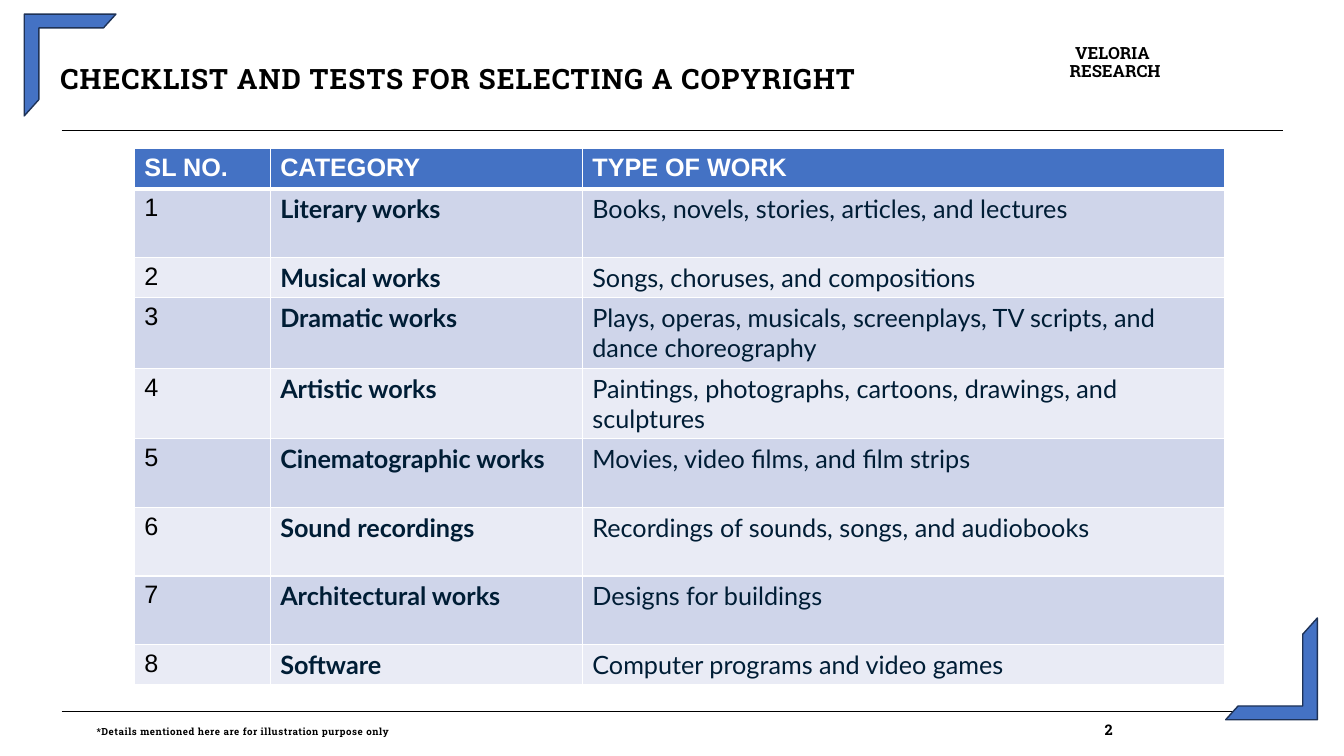
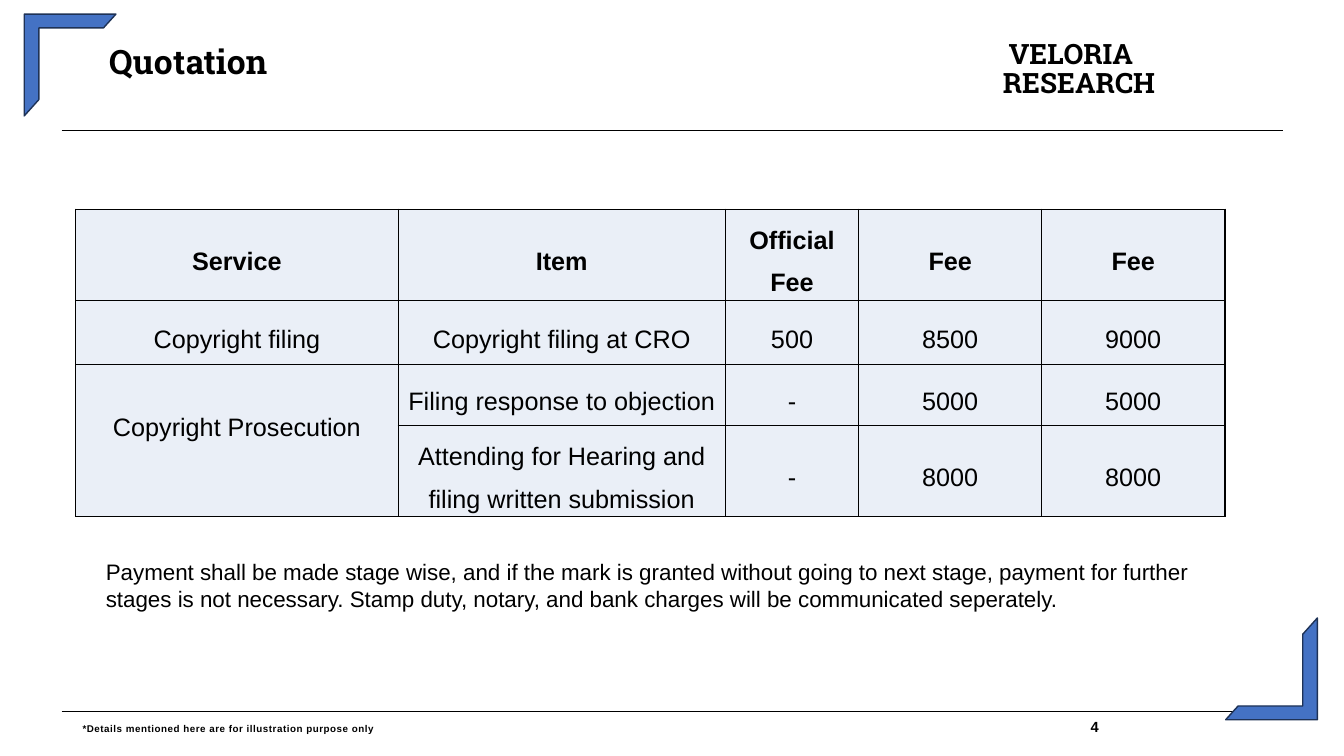
import dataclasses

import pptx
import pptx.dml.color
import pptx.enum.shapes
import pptx.enum.text
import pptx.oxml
import pptx.oxml.ns
import pptx.util
from lxml import etree

Pt = pptx.util.Pt
Align = pptx.enum.text.PP_ALIGN
Anchor = pptx.enum.text.MSO_ANCHOR
Shape = pptx.enum.shapes.MSO_SHAPE
qn = pptx.oxml.ns.qn


@dataclasses.dataclass(frozen=True)
class Theme:
    # Colours
    black: str = "000000"
    white: str = "FFFFFF"
    blue: str = "4472C4"
    edge: str = "1E3256"
    navy: str = "001D35"
    dark: str = "CFD5EA"
    light: str = "E9EBF5"
    pale: str = "EAEFF7"
    # Fonts
    slab: str = "Roboto Slab"
    sans: str = "Arial"
    lato: str = "Lato"
    # Type sizes
    big: float = 24
    head: float = 20
    cell: float = 18
    body: float = 16
    mark: float = 12
    page: float = 10.5
    note: float = 7


def tint(code):
    return pptx.dml.color.RGBColor.from_string(code)


class Deck:
    def __init__(self, theme):
        self.theme = theme
        self.file = pptx.Presentation()
        self.file.slide_width, self.file.slide_height = Pt(960), Pt(540)

    def start(self):
        """Add a slide with its rules and corner frames."""
        self.slide = self.file.slides.add_slide(self.file.slide_layouts[5])
        for y in (93, 508):
            self.rule(44, y, 916.5)
        self.corner(17.3, 10.1, 0)
        self.corner(875.5, 441.4, 180)

    def rule(self, left, y, right):
        kind = pptx.enum.shapes.MSO_CONNECTOR.STRAIGHT
        line = self.slide.shapes.add_connector(kind, Pt(left), Pt(y), Pt(right), Pt(y))
        line.line.color.rgb = tint(self.theme.black)
        line.line.width = Pt(0.5)
        etree.SubElement(line._element.spPr, qn("a:effectLst"))

    def corner(self, left, top, turn):
        part = self.slide.shapes.add_shape(
            Shape.HALF_FRAME, Pt(left), Pt(top), Pt(65.5), Pt(72.7))
        part.adjustments[0], part.adjustments[1] = 0.15, 0.16
        part.rotation = turn
        part.shadow.inherit = False
        part.fill.solid()
        part.fill.fore_color.rgb = tint(self.theme.blue)
        part.line.color.rgb = tint(self.theme.edge)
        part.line.width = Pt(1)

    def style(self, run, size, face, bold=False, color=None, track=0):
        run.font.size, run.font.name, run.font.bold = Pt(size), face, bold
        run.font.color.rgb = tint(color or self.theme.black)
        if track:
            run._r.get_or_add_rPr().set("spc", str(round(track * 100)))

    def label(self, frame, text, size, face, align=Align.LEFT, space=1, **look):
        frame.text = text
        frame.word_wrap = True
        para = frame.paragraphs[0]
        para.alignment, para.line_spacing = align, space
        self.style(para.runs[0], size, face, **look)
        return para

    def pad(self, item, side, edge):
        item.margin_left = item.margin_right = Pt(side)
        item.margin_top = item.margin_bottom = Pt(edge)

    def box(self, left, top, width, height, text, size, face, pads=(0, 0), **look):
        part = self.slide.shapes.add_textbox(Pt(left), Pt(top), Pt(width), Pt(height))
        self.pad(part.text_frame, *pads)
        return self.label(part.text_frame, text, size, face, **look)

    def title(self, left, top, text, size, track):
        part = self.slide.shapes.title
        part.left, part.top, part.width, part.height = Pt(left), Pt(top), Pt(650), Pt(30)
        frame = part.text_frame
        frame.auto_size = pptx.enum.text.MSO_AUTO_SIZE.NONE
        frame.vertical_anchor = Anchor.TOP
        self.pad(frame, 0, 0)
        self.label(frame, text, size, self.theme.slab, space=0.8, bold=True, track=track)

    def brand(self, left, top, width, size):
        para = self.box(left, top, width, size * 2.2, "VELORIA RESEARCH", size,
                        self.theme.slab, space=0.87, bold=True)
        para._p.get_or_add_pPr().set("indent", str(Pt(4)))

    def foot(self, left, top, page, face):
        text = "*Details mentioned here are for illustration purpose only"
        look = dict(bold=True, track=0.4)
        para = self.box(left, top, 850, 14, text, self.theme.note, face, space=0.84, **look)
        tabs = etree.SubElement(para._p.get_or_add_pPr(), qn("a:tabLst"))
        etree.SubElement(tabs, qn("a:tab"), pos=str(Pt(720)), algn="l")
        run = para.add_run()
        run.text = f"\t{page}"
        self.style(run, self.theme.page, face, **look)

    def border(self, cell, color, base):
        props = cell._tc.get_or_add_tcPr()
        for side, width in (("L", 1), ("R", 1), ("T", 1), ("B", base)):
            line = etree.SubElement(props, qn("a:ln" + side), w=str(Pt(width)))
            fill = etree.SubElement(line, qn("a:solidFill"))
            etree.SubElement(fill, qn("a:srgbClr"), val=color)

    def grid(self, left, top, cols, rows, data, edge, look, pads, anchor, base=1):
        """Add a table; look(row, col) gives the fill and the text style."""
        table = self.slide.shapes.add_table(
            len(rows), len(cols), Pt(left), Pt(top), Pt(sum(cols)), Pt(sum(rows))).table
        table.first_row = table.horz_banding = False
        for col, width in zip(table.columns, cols):
            col.width = Pt(width)
        for r, (row, height) in enumerate(zip(data, rows)):
            table.rows[r].height = Pt(height)
            for c, text in enumerate(row):
                cell = table.cell(r, c)
                self.border(cell, edge, 1 if r else base)
                fill, font = look(r, c)
                cell.fill.solid()
                cell.fill.fore_color.rgb = tint(fill)
                self.pad(cell, *pads)
                cell.vertical_anchor = anchor
                if text:
                    self.label(cell.text_frame, text, self.theme.cell, **font)
        return table


def works(deck):
    theme = deck.theme
    deck.start()
    deck.title(43.2, 48.4, "CHECKLIST AND TESTS FOR SELECTING A COPYRIGHT", theme.head, 0.7)
    deck.brand(764, 32.7, 86, theme.mark)
    deck.foot(69, 517, 2, theme.slab)

    # Table of categories
    kinds = [
        ("Literary works", "Books, novels, stories, articles, and lectures"),
        ("Musical works", "Songs, choruses, and compositions"),
        ("Dramatic works",
         "Plays, operas, musicals, screenplays, TV scripts, and dance choreography"),
        ("Artistic works", "Paintings, photographs, cartoons, drawings, and sculptures"),
        ("Cinematographic works", "Movies, video films, and film strips"),
        ("Sound recordings", "Recordings of sounds, songs, and audiobooks"),
        ("Architectural works", "Designs for buildings"),
        ("Software", "Computer programs and video games"),
    ]
    data = [("SL NO.", "CATEGORY", "TYPE OF WORK")]
    data += [(str(n), *kind) for n, kind in enumerate(kinds, 1)]
    low, mid, high = 28.8, 49, 50.4

    def look(r, c):
        if r == 0:
            return theme.blue, dict(face=theme.sans, bold=True, color=theme.white)
        fill = theme.dark if r % 2 else theme.light
        if c == 0:
            return fill, dict(face=theme.sans)
        return fill, dict(face=theme.lato, bold=c == 1, color=theme.navy)

    deck.grid(96, 106, (97, 223, 459), (low, mid, low, high, high, mid, mid, mid, low),
              data, theme.white, look, (7.2, 3.6), Anchor.TOP, base=3)


def quote(deck):
    theme = deck.theme
    deck.start()
    deck.title(77.8, 34.6, "Quotation", theme.big, 0.1)
    deck.brand(716.4, 29.4, 136, theme.head)
    deck.foot(59, 515, 4, theme.sans)

    # Table of fees
    data = [
        ("Service", "Item", "Official Fee", "Fee", "Fee"),
        ("Copyright filing", "Copyright filing at CRO", "500", "8500", "9000"),
        ("Copyright Prosecution", "Filing response to objection", "-", "5000", "5000"),
        ("", "Attending for Hearing and filing written submission", "-", "8000", "8000"),
    ]

    def look(r, c):
        return theme.pale, dict(face=theme.sans, align=Align.CENTER, space=1.5, bold=r == 0)

    table = deck.grid(54, 149.5, (230.5, 233.5, 95.5, 130.5, 131), (65, 46, 43.5, 65),
                      data, theme.black, look, (5, 0), Anchor.MIDDLE)
    tall = table.cell(2, 0)
    tall.merge(table.cell(3, 0))
    tall.margin_bottom = Pt(28)

    # Payment terms
    deck.box(68.5, 395.3, 837, 46,
             "Payment shall be made stage wise, and if the mark is granted without going to "
             "next stage, payment for further stages is not necessary. Stamp duty, notary, "
             "and bank charges will be communicated seperately.",
             theme.body, theme.sans, pads=(7.2, 3.6))


def main():
    deck = Deck(Theme())
    works(deck)
    quote(deck)
    deck.file.save("out.pptx")


if __name__ == "__main__":
    main()
